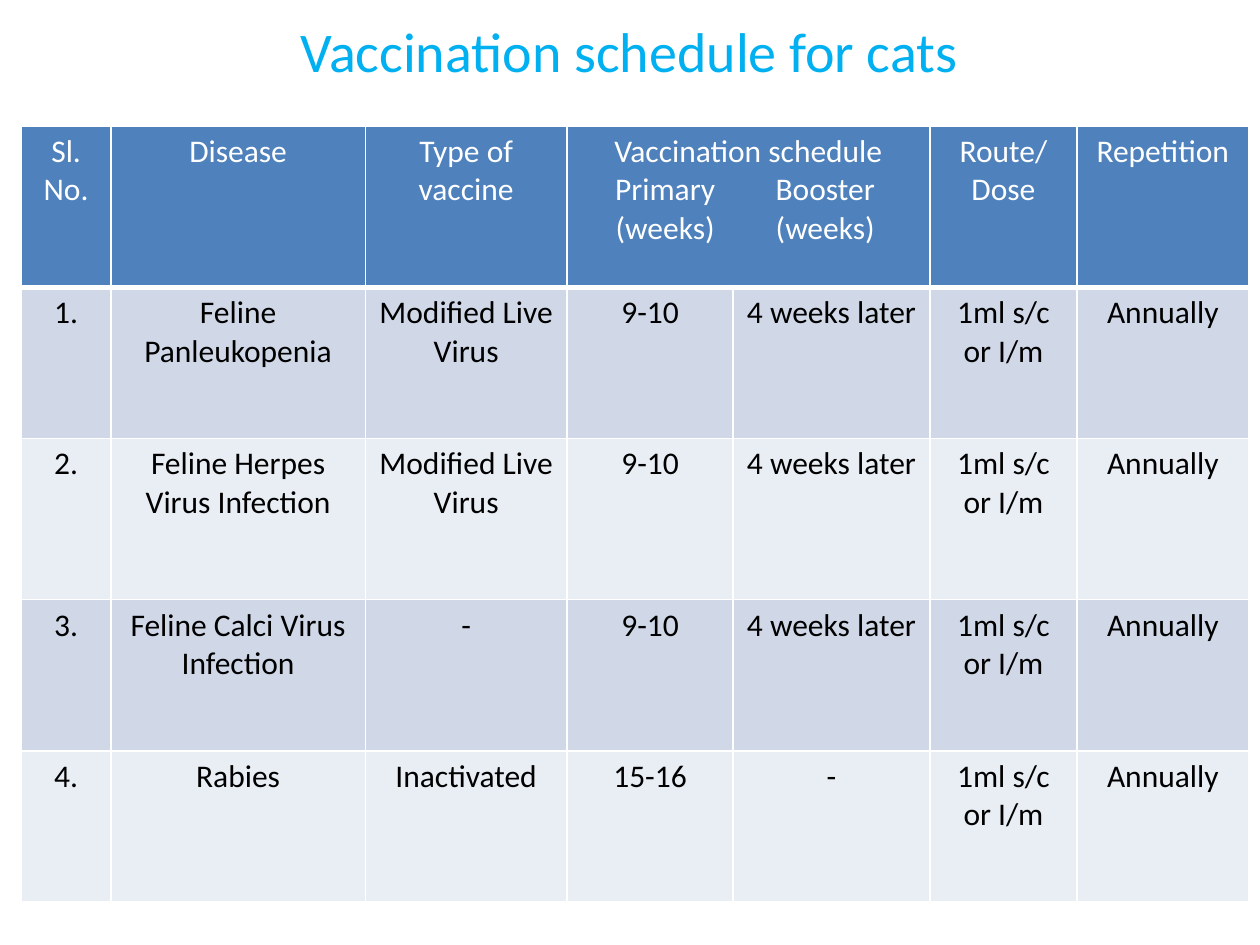
from lxml import etree
from pptx import Presentation
from pptx.dml.color import RGBColor
from pptx.enum.text import PP_ALIGN
from pptx.oxml.ns import qn
from pptx.util import Inches, Pt

CENTER, LEFT = PP_ALIGN.CENTER, PP_ALIGN.LEFT
FONT = "Calibri"
COLORS = {
    "title": "00B0F0",
    "header": "4F81BD",
    "odd row": "D0D8E8",
    "even row": "E9EDF4",
    "border": "FFFFFF",
    "header text": "FFFFFF",
    "body text": "000000",
}
COLUMN_WIDTHS = [0.71, 2.02, 1.6, 1.32, 1.56, 1.17, 1.36]
ROW_HEIGHTS = [1.28, 1.2, 1.28, 1.2, 1.2]
SCHEDULE_COLUMN = 3
SCHEDULE_TABS = [0.68, 1.95]
DOSE, REPETITION = "1ml s/c or I/m", "Annually"
ROWS = [
    ["Sl. No.", "Disease", "Type of vaccine",
     "Vaccination schedule\n\tPrimary\tBooster\n\t(weeks)\t(weeks)", "",
     "Route/ Dose", "Repetition"],
    ["1.", "Feline Panleukopenia", "Modified Live Virus", "9-10", "4 weeks later", DOSE, REPETITION],
    ["2.", "Feline Herpes Virus Infection", "Modified Live Virus", "9-10", "4 weeks later", DOSE, REPETITION],
    ["3.", "Feline Calci Virus Infection", "-", "9-10", "4 weeks later", DOSE, REPETITION],
    ["4.", "Rabies", "Inactivated", "15-16", "-", DOSE, REPETITION],
]


def format_paragraph(paragraph, size, color, alignment=CENTER):
    paragraph.alignment = alignment
    for run in paragraph.runs:
        run.font.name = FONT
        run.font.size = Pt(size)
        run.font.color.rgb = RGBColor.from_string(COLORS[color])


def add_border(cell, side, width):
    line = etree.SubElement(cell._tc.get_or_add_tcPr(), qn(f"a:ln{side}"), w=str(Pt(width)))
    fill = etree.SubElement(line, qn("a:solidFill"))
    etree.SubElement(fill, qn("a:srgbClr"), val=COLORS["border"])


presentation = Presentation()
presentation.slide_width, presentation.slide_height = Inches(10), Inches(7.5)
slide = presentation.slides.add_slide(presentation.slide_layouts[6])

# Title
title = slide.shapes.add_textbox(Inches(0.08), Inches(0.08), Inches(9.83), Inches(7.33))
title.text_frame.word_wrap = True
title.text_frame.text = "Vaccination schedule for cats"
title_paragraph = title.text_frame.paragraphs[0]
title_paragraph.space_before = Pt(6.4)
format_paragraph(title_paragraph, 32, "title")

# Table grid
table = slide.shapes.add_table(
    len(ROWS), len(COLUMN_WIDTHS), Inches(0.17), Inches(1),
    Inches(sum(COLUMN_WIDTHS)), Inches(sum(ROW_HEIGHTS)),
).table
for column, width in zip(table.columns, COLUMN_WIDTHS):
    column.width = Inches(width)
for row, height in zip(table.rows, ROW_HEIGHTS):
    row.height = Inches(height)
table.cell(0, SCHEDULE_COLUMN).merge(table.cell(0, SCHEDULE_COLUMN + 1))

# Cell text, borders and fills
for row_index, texts in enumerate(ROWS):
    is_header = row_index == 0
    fill_color = "header" if is_header else ("even row", "odd row")[row_index % 2]
    text_color = "header text" if is_header else "body text"
    for column_index, text in enumerate(texts):
        cell = table.cell(row_index, column_index)
        cell.text_frame.text = text
        for paragraph in cell.text_frame.paragraphs:
            alignment = LEFT if "\t" in paragraph.text else CENTER
            format_paragraph(paragraph, 18, text_color, alignment)
            paragraph.font.bold = False
            for run in paragraph.runs:
                run.font.bold = False
        for side in "LRTB":
            add_border(cell, side, 3 if is_header and side == "B" else 1)
        cell.fill.solid()
        cell.fill.fore_color.rgb = RGBColor.from_string(COLORS[fill_color])

# Centred tab stops for the primary and booster headings
for paragraph in table.cell(0, SCHEDULE_COLUMN).text_frame.paragraphs[1:]:
    tab_list = etree.Element(qn("a:tabLst"))
    for position in SCHEDULE_TABS:
        etree.SubElement(tab_list, qn("a:tab"), pos=str(Inches(position)), algn="ctr")
    paragraph._p.get_or_add_pPr().insert(0, tab_list)

presentation.save("out.pptx")
